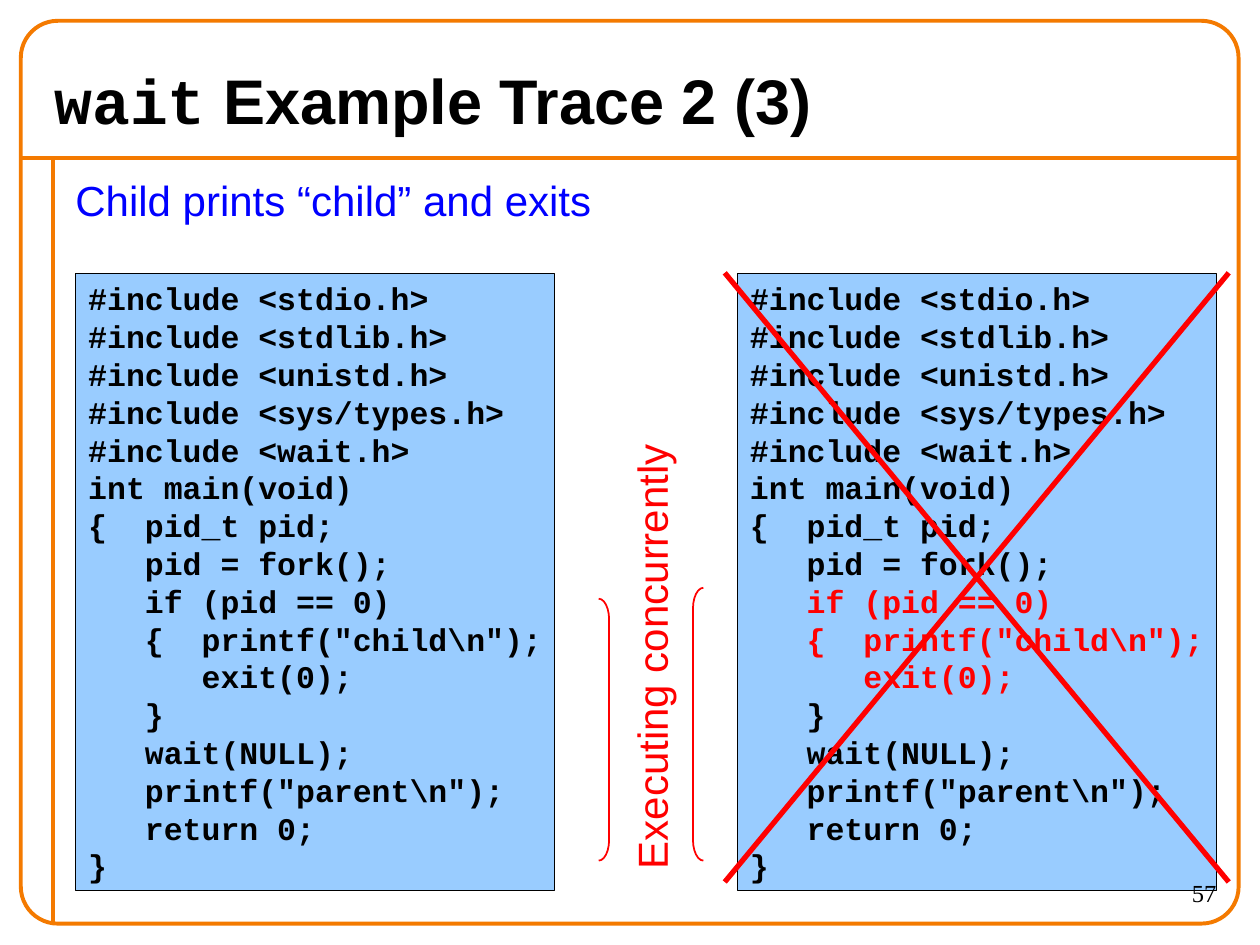
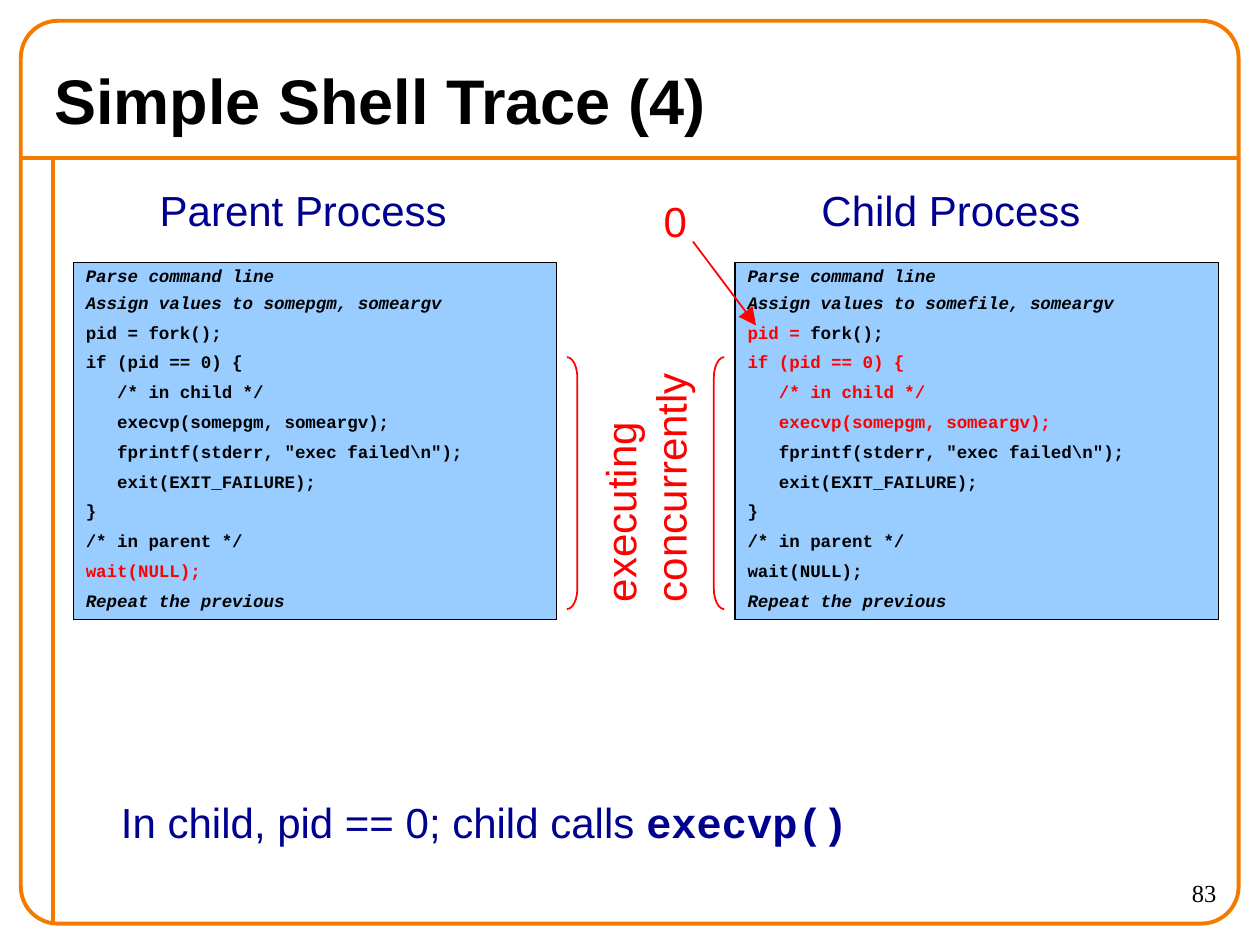
import pptx
import pptx.dml.color
import pptx.enum.shapes
import pptx.enum.text
import pptx.oxml.ns
import pptx.util
from lxml import etree

Cm = pptx.util.Cm
SHAPE = pptx.enum.shapes.MSO_SHAPE
ANCHOR = pptx.enum.text.MSO_ANCHOR
ALIGN = pptx.enum.text.PP_ALIGN

COLORS = {
    "frame": "F47A00",
    "ink": "000000",
    "panel": "99CCFF",
    "accent": "FF0000",
    "heading": "0000FF",
    "label": "000090",
}
TITLE = {"name": "Arial", "size": 36, "bold": True, "color": "ink"}
TITLE_CODE = TITLE | {"name": "Courier New"}
HEADING = {"name": "Arial", "size": 24, "color": "heading"}
LABEL = HEADING | {"color": "label"}
LABEL_CODE = LABEL | {"name": "Courier New", "bold": True}
ACCENT = HEADING | {"color": "accent"}
NUMBER = {"name": "Times New Roman", "size": 14, "color": "ink"}
CODE = {"name": "Courier New", "size": 18, "bold": True, "color": "ink"}
SMALL_CODE = CODE | {"size": 10}

CHILD_SHIFT = 13.34  # from a parent part to the matching child part

WAIT_CODE = r"""#include <stdio.h>
#include <stdlib.h>
#include <unistd.h>
#include <sys/types.h>
#include <wait.h>
int main(void)
{  pid_t pid;
   pid = fork();
   if (pid == 0)
   {  printf("child\n");
      exit(0);
   }
   wait(NULL);
   printf("parent\n");
   return 0;
}""".splitlines()

SHELL_CODE = r"""Parse command line
Assign values to somepgm, someargv
pid = fork();
if (pid == 0) {
   /* in child */
   execvp(somepgm, someargv);
   fprintf(stderr, "exec failed\n");
   exit(EXIT_FAILURE);
}
/* in parent */
wait(NULL);
Repeat the previous""".splitlines()
SHELL_PROSE = ("Parse", "Assign", "Repeat")


def rgb(color):
    return pptx.dml.color.RGBColor.from_string(COLORS[color])


def set_line(shape, color, width):
    shape.line.color.rgb = rgb(color)
    shape.line.width = pptx.util.Pt(width)


def add_line(page, start, end, color, width, arrow=False):
    line = page.shapes.add_connector(
        pptx.enum.shapes.MSO_CONNECTOR.STRAIGHT, *map(Cm, start + end))
    set_line(line, color, width)
    if arrow:
        etree.SubElement(line.line._get_or_add_ln(),
                         pptx.oxml.ns.qn("a:tailEnd"),
                         type="triangle", w="lg", len="lg")
    etree.SubElement(line._element.spPr, pptx.oxml.ns.qn("a:effectLst"))


def add_outline(page, kind, box, color, width, fill=None):
    shape = page.shapes.add_shape(kind, *map(Cm, box))
    shape.shadow.inherit = False
    set_line(shape, color, width)
    if fill:
        shape.fill.solid()
        shape.fill.fore_color.rgb = rgb(fill)
    else:
        shape.fill.background()
    return shape


def write(shape, paras, anchor=ANCHOR.TOP, align=ALIGN.LEFT):
    """Fill a shape with paragraphs, each a list of (text, format) spans."""
    frame = shape.text_frame
    frame.word_wrap = True
    frame.vertical_anchor = anchor
    for index, spans in enumerate(paras):
        para = frame.add_paragraph() if index else frame.paragraphs[0]
        para.alignment = align
        for text, style in spans:
            span = para.add_run()
            span.text = text
            for key, value in style.items():
                if key == "color":
                    span.font.color.rgb = rgb(value)
                elif key == "size":
                    span.font.size = pptx.util.Pt(value)
                else:
                    setattr(span.font, key, value)
    return shape


def add_text(page, box, *paras, **options):
    return write(page.shapes.add_textbox(*map(Cm, box)), paras, **options)


def add_base(deck, title):
    """Add a page with its frame, rules and title."""
    page = deck.slides.add_slide(deck.slide_layouts[6])
    left, top, width, height = box = (0.42, 0.42, 24.55, 18.2)
    rule_x, rule_y = left + 0.64, top + 2.76
    add_line(page, (left, rule_y), (left + width, rule_y), "frame", 2.25)
    add_line(page, (rule_x, rule_y), (rule_x, top + height), "frame", 2.25)
    border = add_outline(page, SHAPE.ROUNDED_RECTANGLE, box, "frame", 2.25)
    border.adjustments[0] = 0.041
    add_text(page, (0.85, 1.04, 23.71, 1.91), title, anchor=ANCHOR.MIDDLE)
    return page


def add_number(page, number):
    add_text(page, (22.23, 17.57, 2.54, 1.06), [(number, NUMBER)],
             align=ALIGN.RIGHT)


def code_spans(line, style, red, prose):
    """Split a line into its red beginning, if any, and the rest."""
    style = style | {"italic": line.startswith(prose)} if prose else style
    start = next((part for part in red if line.startswith(part)), "")
    spans = [(start, style | {"color": "accent"}), (line[len(start):], style)]
    return [span for span in spans if span[0]]


def add_code(page, box, lines, style, red=(), prose=()):
    panel = add_outline(page, SHAPE.RECTANGLE, box, "ink", 0.75, "panel")
    write(panel, [code_spans(line, style, red, prose) for line in lines])
    panel.text_frame.margin_right = 0
    return panel


def add_shell_code(page, box, lines, red):
    panel = add_code(page, box, lines, SMALL_CODE, red, SHELL_PROSE)
    for index, para in enumerate(panel.text_frame.paragraphs):
        para.line_spacing = 0.8 if index < 2 else 0.9
        if index:
            para.space_before = pptx.util.Pt(6.2)


def add_bracket(page, kind, left, top, height):
    bracket = add_outline(page, kind, (left, top, 0.21, height), "accent", 1)
    bracket.adjustments[0] = 2


def add_turned_text(page, box, *lines):
    label = add_text(page, box, *([(line, ACCENT)] for line in lines))
    label.rotation = 270


def add_cross(page, box):
    left, top, width, height = box
    right, bottom = left + width, top + height
    add_line(page, (left, top), (right, bottom), "accent", 3)
    add_line(page, (right, top), (left, bottom), "accent", 3)


def shift(box):
    """Move a parent box to the child side."""
    return (box[0] + CHILD_SHIFT, *box[1:])


def build_wait_trace(deck):
    page = add_base(deck, [("wait", TITLE_CODE),
                           (" Example Trace 2 (3)", TITLE)])
    add_text(page, (1.27, 3.39, 23.5, 1.27),
             [("Child prints “child” and exits", HEADING)])
    parent = (1.53, 5.51, 9.65, 12.45)
    add_code(page, parent, WAIT_CODE, CODE)
    add_code(page, shift(parent), WAIT_CODE, CODE, WAIT_CODE[8:11])
    add_bracket(page, SHAPE.RIGHT_BRACKET, 12.07, 12.07, 5.28)
    add_turned_text(page, (8.36, 12.37, 9.53, 1.27), "Executing concurrently")
    add_bracket(page, SHAPE.LEFT_BRACKET, 13.97, 11.85, 5.5)
    add_cross(page, (14.61, 5.5, 10.16, 12.28))
    add_number(page, "57")


def build_shell_trace(deck):
    page = add_base(deck, [("Simple Shell Trace (4)", TITLE)])
    label, panel = (2.97, 3.6, 6.5, 1.27), (1.48, 5.29, 9.74, 7.2)
    child_code = [line.replace("to somepgm", "to somefile")
                  for line in SHELL_CODE]
    add_text(page, label, [("Parent Process", LABEL)])
    add_shell_code(page, panel, SHELL_CODE, ["wait(NULL);"])
    add_text(page, shift(label), [("Child Process", LABEL)])
    add_shell_code(page, shift(panel), child_code,
                   ["pid = ", *SHELL_CODE[3:6]])
    add_text(page, (13.13, 3.81, 1, 1.27), [("0", ACCENT)])
    add_line(page, (13.97, 4.87), (15.24, 6.56), "accent", 1, arrow=True)
    add_bracket(page, SHAPE.RIGHT_BRACKET, 11.43, 7.2, 5.08)
    add_turned_text(page, (10.41, 8.65, 5.18, 2.29),
                    "executing", "concurrently")
    add_bracket(page, SHAPE.LEFT_BRACKET, 14.39, 7.2, 5.08)
    add_text(page, (2.19, 15.93, 16, 1.27),
             [("In child, pid == 0; child calls ", LABEL),
              ("execvp()", LABEL_CODE)])
    add_number(page, "83")


def main():
    deck = pptx.Presentation()
    deck.slide_width, deck.slide_height = Cm(25.4), Cm(19.05)
    build_wait_trace(deck)
    build_shell_trace(deck)
    deck.save("out.pptx")


if __name__ == "__main__":
    main()
